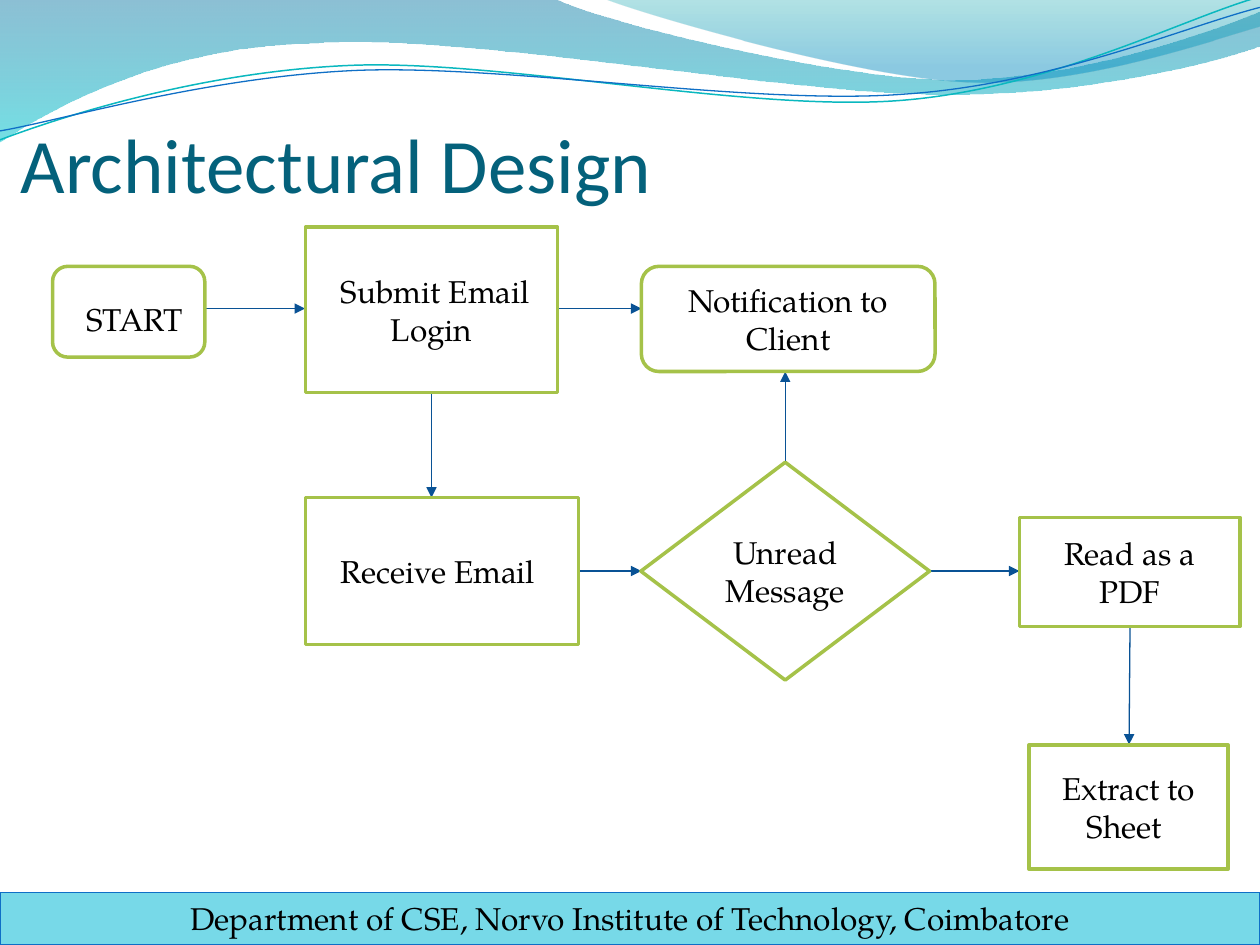
from lxml.etree import SubElement
from pptx import Presentation
from pptx.dml.color import RGBColor
from pptx.enum.shapes import MSO_CONNECTOR, MSO_SHAPE
from pptx.enum.text import MSO_ANCHOR, MSO_AUTO_SIZE, PP_ALIGN
from pptx.oxml.ns import qn
from pptx.util import Cm, Pt

WHITE = RGBColor(0xFF, 0xFF, 0xFF)
BLACK = RGBColor(0, 0, 0)
GREEN = RGBColor(0xA5, 0xC2, 0x49)
NAVY = RGBColor(0x09, 0x52, 0x95)
BLUE = RGBColor(0x0F, 0x6F, 0xC6)
TEAL = RGBColor(0x0A, 0xB8, 0xBF)
AQUA = RGBColor(0x77, 0xD9, 0xE8)
TITLE = RGBColor(0x04, 0x61, 0x7B)
DEEP = RGBColor(0x00, 0x74, 0xA1)
CYAN = RGBColor(0x00, 0xC6, 0xCF)
SEA = RGBColor(0x00, 0xA1, 0xA9)
SKY = RGBColor(0x00, 0x8B, 0xBF)
SERIF = "TeX Gyre Pagella"


def draw_curve(page, start, segments, closed):
    builder = page.shapes.build_freeform(Cm(start[0]), Cm(start[1]), scale=1.0)
    builder.add_line_segments([(Cm(x), Cm(y)) for x, y in (s[-1] for s in segments)], close=closed)
    curve = builder.convert_to_shape()
    curve.shadow.inherit = False
    edges = list(curve.element.spPr.iter(qn("a:lnTo")))
    for edge, segment in zip(edges, segments):
        if len(segment) == 3:
            edge.tag = qn("a:cubicBezTo")
            for index, (x, y) in enumerate(segment[:2]):
                handle = edge.makeelement(qn("a:pt"), {
                    "x": str(Cm(x) - curve.left), "y": str(Cm(y) - curve.top)})
                edge.insert(index, handle)
    return curve


def write_text(box, spans, align, frame_format):
    frame = box.text_frame
    for name, value in {"word_wrap": True, **frame_format}.items():
        setattr(frame, name, value)
    para = frame.paragraphs[0]
    para.alignment = align
    for text, size, font, color in spans:
        span = para.add_run()
        span.text = text
        for name, value in {"size": Pt(size), "name": font}.items():
            setattr(span.font, name, value)
        span.font.color.rgb = color


deck = Presentation()
deck.slide_width, deck.slide_height = Cm(25.4), Cm(19.05)
page = deck.slides.add_slide(deck.slide_layouts[6])

waves = [
    ((0, 0), [
        [(11.18, -0.03)],
        [(12.09, 0.43), (16.87, 1.6), (19.25, 1.6)],
        [(21.67, 1.6), (24.33, 0.66), (25.4, 0.23)],
        [(25.43, 0.91)],
        [(24.97, 1.12), (22.1, 1.93), (18.95, 1.9)],
        [(15.8, 1.9), (9.7, 0.71), (6.53, 0.86)],
        [(3.28, 0.91), (1.17, 2.11), (-0.03, 2.87)],
    ], [(0, DEEP, 45), (1, CYAN, 55)]),
    ((12.17, -0.03), [
        [(12.93, 0.28), (17.32, 1.57), (19.53, 1.65)],
        [(21.74, 1.75), (24.41, 0.81), (25.4, 0.53)],
        [(25.4, 0)],
    ], [(0, SEA, 30), (0.8, SKY, 45)]),
]
for start, segments, stops in waves:
    wave = draw_curve(page, start, segments, True)
    wave.line.fill.background()
    wave.fill.gradient()
    wave.fill.gradient_angle = 270
    for stop, (position, color, _) in zip(wave.fill.gradient_stops, stops):
        stop.position = position
        stop.color.rgb = color
    for tint, (_, _, opacity) in zip(wave.element.spPr.iter(qn("a:srgbClr")), stops):
        SubElement(tint, qn("a:alpha"), val=str(opacity * 1000))

ripples = [
    ((0, 2.82), [
        [(1.22, 2.36), (4.01, 1.45), (7.04, 1.32)],
        [(10.03, 1.19), (15.06, 2.26), (18.11, 2.03)],
        [(21.16, 1.8), (23.83, 0.38), (25.35, -0.05)],
    ], TEAL, 0.85),
    ((0, 2.64), [
        [(1.19, 2.44), (4.17, 1.55), (7.19, 1.42)],
        [(10.24, 1.3), (15.16, 2.13), (18.21, 1.9)],
        [(21.23, 1.7), (23.9, 0.53), (25.4, 0.15)],
    ], BLUE, 0.75),
]
for start, segments, color, width in ripples:
    ripple = draw_curve(page, start, segments, False)
    ripple.fill.background()
    ripple.line.color.rgb = color
    ripple.line.width = Pt(width)

title = page.shapes.add_textbox(Cm(0.42), Cm(1.04), Cm(22.86), Cm(3.18))
write_text(title, [("Architectural Design", 44, "Calibri", TITLE)], PP_ALIGN.LEFT, {
    "vertical_anchor": MSO_ANCHOR.BOTTOM,
    "margin_left": 0, "margin_top": Cm(0.13), "margin_right": 0, "margin_bottom": 0,
})

arrows = [
    (3.4, 6.22, 6.15, 6.22),
    (11.23, 6.22, 12.93, 6.22),
    (8.7, 7.91, 8.7, 10.03),
    (11.66, 11.51, 12.93, 11.51),
    (18.75, 11.51, 20.55, 11.51),
    (15.83, 9.32, 15.83, 7.49),
    (22.78, 12.62, 22.76, 15.01),
]
for ends in arrows:
    arrow = page.shapes.add_connector(MSO_CONNECTOR.STRAIGHT, *map(Cm, ends))
    arrow.line.color.rgb = NAVY
    arrow.line.width = Pt(0.75)
    SubElement(arrow.element.spPr.find(qn("a:ln")), qn("a:tailEnd"), type="triangle")
    SubElement(arrow.element.spPr, qn("a:effectLst"))

RECT, ROUND, DIAMOND = MSO_SHAPE.RECTANGLE, MSO_SHAPE.ROUNDED_RECTANGLE, MSO_SHAPE.DIAMOND
middle = {"vertical_anchor": MSO_ANCHOR.MIDDLE}
footer = {"vertical_anchor": MSO_ANCHOR.TOP, "auto_size": MSO_AUTO_SIZE.SHAPE_TO_FIT_TEXT}
node_style = (WHITE, GREEN, 2, middle)
boxes = [
    (RECT, (0, 17.99, 25.4, 1.06), [("Department of CSE, Norvo Institute of Technology, Coimbatore", 18)],
     (AQUA, BLUE, 0.75, footer)),
    (ROUND, (1.06, 5.37, 3.07, 1.83), [(" ", 28), ("START", 18)], node_style),
    (RECT, (6.16, 4.58, 5.08, 3.33), [(" Submit Email Login", 18)], node_style),
    (RECT, (6.16, 10.03, 5.5, 2.96), [("Receive Email ", 18)], node_style),
    (ROUND, (12.93, 5.37, 5.92, 2.12), [("Notification to Client", 18)], node_style),
    (DIAMOND, (12.92, 9.32, 5.82, 4.39), [("Unread Message", 18)], node_style),
    (RECT, (20.55, 10.43, 4.45, 2.2), [("Read as a PDF", 18)], node_style),
    (RECT, (20.74, 15.02, 4.02, 2.5), [("Extract to Sheet ", 18)], node_style),
]
for kind, place, texts, (fill, outline, width, frame_format) in boxes:
    box = page.shapes.add_shape(kind, *map(Cm, place))
    box.shadow.inherit = False
    box.fill.solid()
    box.fill.fore_color.rgb = fill
    box.line.color.rgb = outline
    box.line.width = Pt(width)
    write_text(box, [(text, size, SERIF, BLACK) for text, size in texts], PP_ALIGN.CENTER, frame_format)

deck.save("out.pptx")
